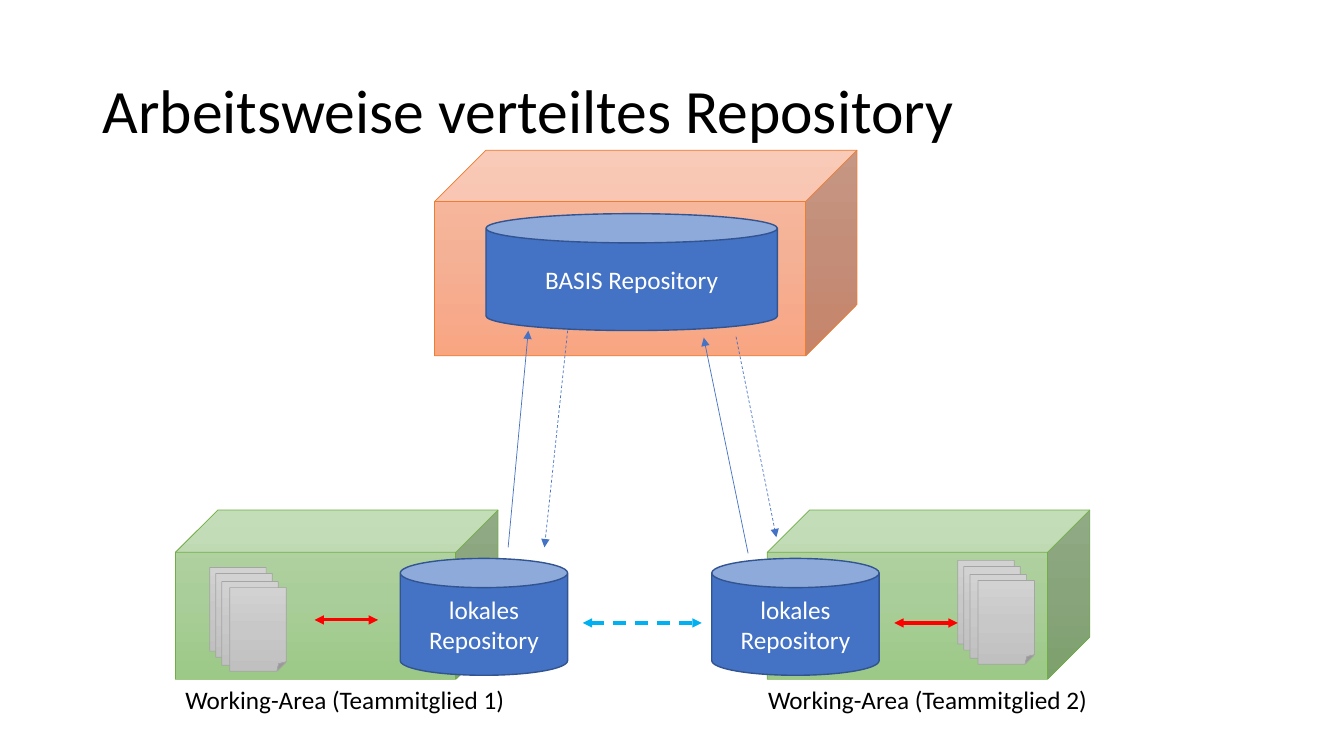
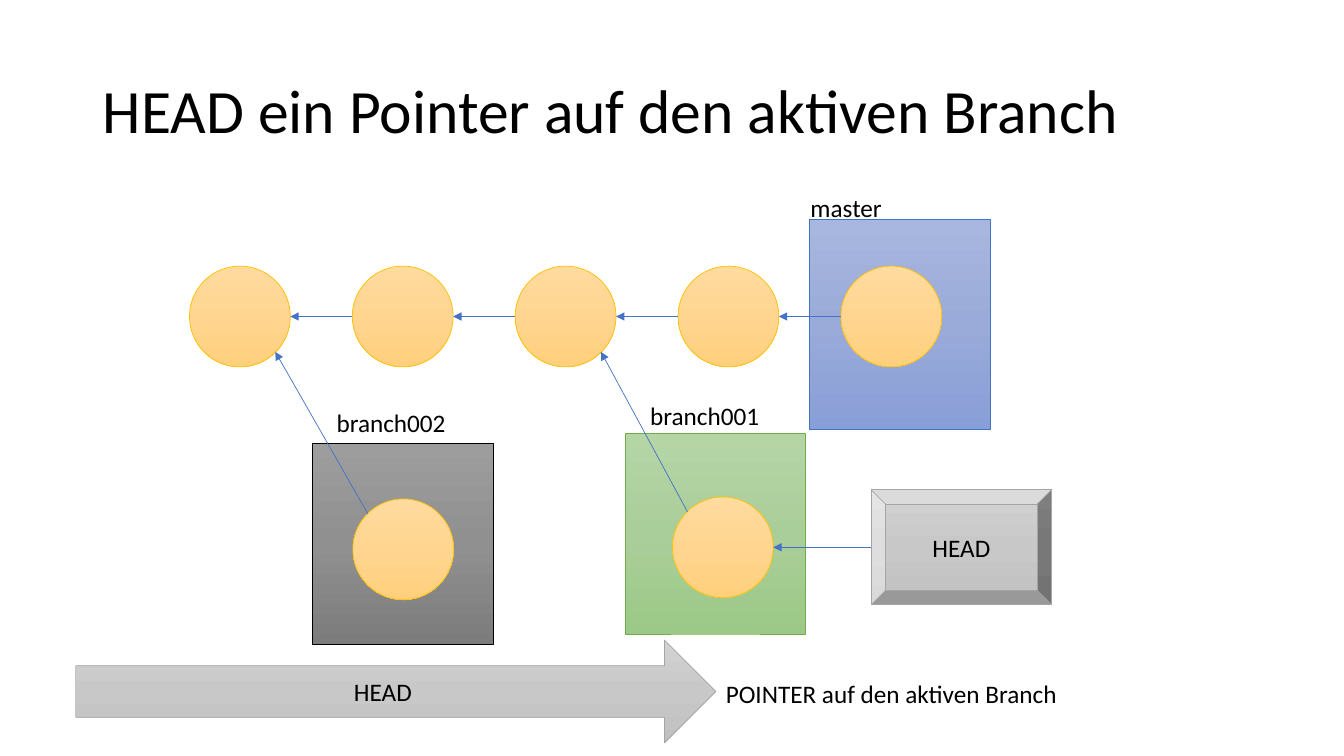
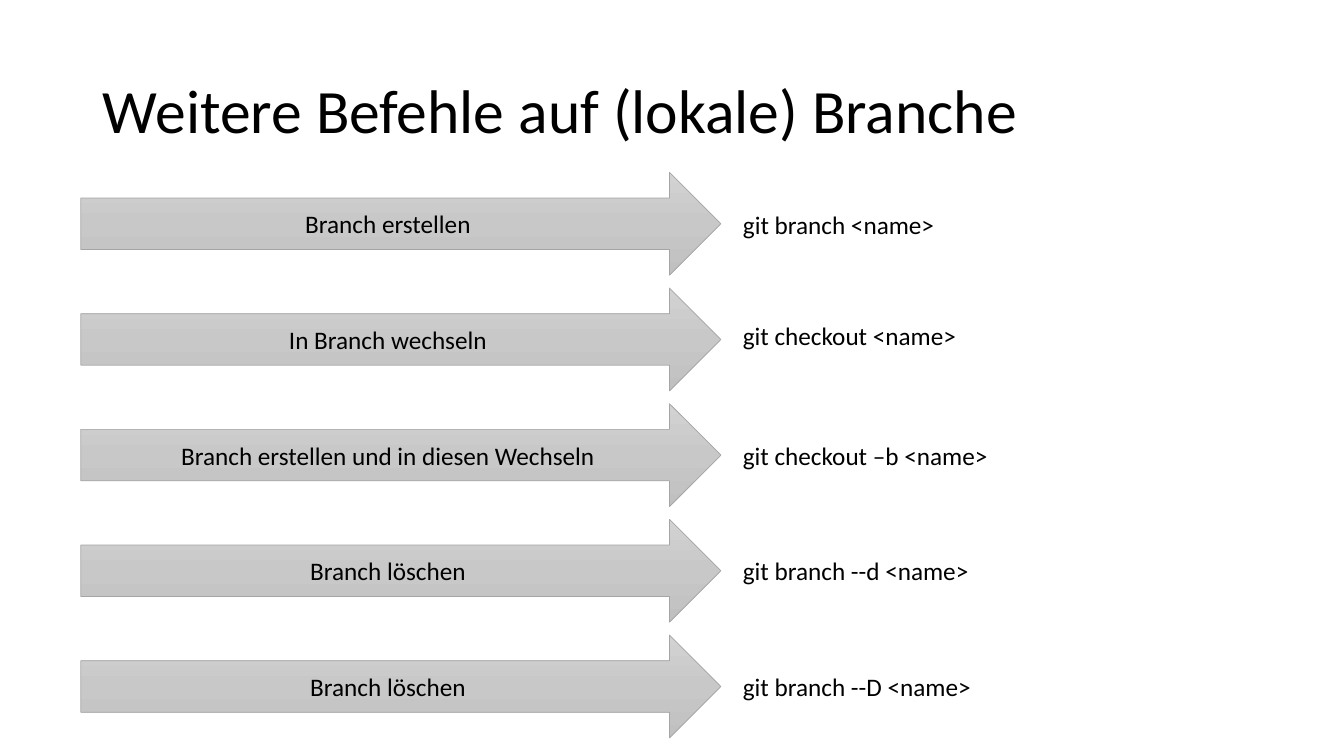
import copy

import pptx
import pptx.dml.color
import pptx.enum.dml
import pptx.enum.shapes
import pptx.enum.text
import pptx.oxml.ns
import pptx.util
from lxml import etree

Inches = pptx.util.Inches
Pt = pptx.util.Pt
qn = pptx.oxml.ns.qn
SHAPE = pptx.enum.shapes.MSO_SHAPE
ALIGN = pptx.enum.text.PP_ALIGN
ANCHOR = pptx.enum.text.MSO_ANCHOR

# Shared style
FONT = "Calibri"
BLACK, WHITE = "000000", "FFFFFF"
BLUE, RED, CYAN = "4472C4", "FF0000", "00B0F0"
CAN_LINE = "325491"

# Gradient stops from top to bottom, then the outline colour
GREEN_STYLE = (("B5D5A7", "AACE9A", "9CC987"), "70AD47")
GRAY_STYLE = (("D2D2D2", "C8C8C8", "C0C0C0"), "A5A5A5")
ORANGE_STYLE = (("F7BDA5", "F5B196", "F8A582"), "ED7D31")
DARK_STYLE = (("9D9D9D", "909090", "7C7C7C"), "000000")
BLUE_STYLE = (("A8B7DF", "9AABD9", "889ED7"), "4472C4")
YELLOW_STYLE = (("FFDB9E", "FFD590", "FFD07C"), "FFC000")


def rgb(color):
    return pptx.dml.color.RGBColor.from_string(color)


def write_text(shape, text, size=18, color=BLACK, align=ALIGN.LEFT):
    """Set one paragraph of text and format its runs."""
    shape.text_frame.text = text
    para = shape.text_frame.paragraphs[0]
    para.alignment = align
    for span in para.runs:
        span.font.name = FONT
        span.font.size = Pt(size)
        span.font.color.rgb = rgb(color)
    return para


def add_title_slide(deck, title):
    page = deck.slides.add_slide(deck.slide_layouts[5])
    box = page.shapes.title
    box.left, box.top = Inches(0.92), Inches(0.4)
    box.width, box.height = Inches(11.5), Inches(1.45)
    para = write_text(box, title, size=44)
    para.line_spacing = 0.9
    box.text_frame.word_wrap = True
    box.text_frame.auto_size = pptx.enum.text.MSO_AUTO_SIZE.NONE
    box.text_frame.vertical_anchor = ANCHOR.MIDDLE
    return page


def add_label(page, left, top, width, text):
    box = page.shapes.add_textbox(Inches(left), Inches(top), Inches(width), Inches(0.4))
    box.text_frame.word_wrap = False
    write_text(box, text)


def add_shape(page, kind, left, top, width, height, line, line_width, text, text_color):
    shape = page.shapes.add_shape(
        kind, Inches(left), Inches(top), Inches(width), Inches(height))
    shape.shadow.inherit = False
    shape.line.color.rgb = rgb(line)
    shape.line.width = Pt(line_width)
    if text:
        write_text(shape, text, color=text_color, align=ALIGN.CENTER)
        shape.text_frame.word_wrap = True
        shape.text_frame.vertical_anchor = ANCHOR.MIDDLE
    return shape


def add_gradient_shape(page, kind, left, top, width, height, style, text=""):
    colors, line = style
    shape = add_shape(page, kind, left, top, width, height, line, 0.5, text, BLACK)
    shape.fill.gradient()
    shape.fill.gradient_angle = 270
    # The default gradient has two stops; add the middle one
    stop_list = next(shape.element.spPr.iter(qn("a:gsLst")))
    stop_list.insert(1, copy.deepcopy(stop_list[0]))
    for index, (stop, color) in enumerate(zip(shape.fill.gradient_stops, colors)):
        stop.position = index / 2
        stop.color.rgb = rgb(color)


def add_can(page, left, top, width, text):
    can = add_shape(page, SHAPE.CAN, left, top, width, 1.16, CAN_LINE, 1, text, WHITE)
    can.fill.solid()
    can.fill.fore_color.rgb = rgb(BLUE)


def add_arrow(page, start, end, color=BLUE, width=0.5, dashed=False, both_ends=False):
    arrow = page.shapes.add_connector(
        pptx.enum.shapes.MSO_CONNECTOR.STRAIGHT,
        Inches(start[0]), Inches(start[1]), Inches(end[0]), Inches(end[1]))
    arrow.line.color.rgb = rgb(color)
    arrow.line.width = Pt(width)
    if dashed:
        arrow.line.dash_style = pptx.enum.dml.MSO_LINE.DASH
    properties = arrow.element.spPr
    line = properties.find(qn("a:ln"))
    for end_name in ("a:headEnd", "a:tailEnd") if both_ends else ("a:tailEnd",):
        etree.SubElement(line, qn(end_name)).set("type", "triangle")
    etree.SubElement(properties, qn("a:effectLst"))


def add_block_arrow(page, left, top, text):
    add_gradient_shape(page, SHAPE.RIGHT_ARROW, left, top, 6.35, 1.02, GRAY_STYLE, text)


def add_file_stack(page, left, top):
    for right, down in ((0, 0), (0.06, 0.06), (0.12, 0.14), (0.2, 0.2)):
        add_gradient_shape(page, SHAPE.FOLDED_CORNER, left + right, top + down,
                           0.56, 0.83, GRAY_STYLE)


def add_commit(page, left, top):
    add_gradient_shape(page, SHAPE.OVAL, left, top, 1, 1, YELLOW_STYLE)


def build_repository_slide(deck):
    page = add_title_slide(deck, "Arbeitsweise verteiltes Repository")

    # Working areas with their files
    for member, area_left, label_left, files_left, files_top in (
            (1, 1.74, 1.74, 2.08, 5.63), (2, 7.61, 7.52, 9.5, 5.56)):
        add_gradient_shape(page, SHAPE.CUBE, area_left, 5.06, 3.2, 1.68, GREEN_STYLE)
        add_label(page, label_left, 6.74, 3.4, f"Working-Area (Teammitglied {member})")
        add_file_stack(page, files_left, files_top)

    # Base repository
    add_gradient_shape(page, SHAPE.CUBE, 4.31, 1.49, 4.19, 2.04, ORANGE_STYLE)
    add_can(page, 4.82, 2.12, 2.89, "BASIS Repository")

    # Push (solid) and fetch (dashed)
    for start, end, dashed in (
            ((5.04, 5.43), (5.24, 3.28), False), ((5.63, 3.28), (5.4, 5.43), True),
            ((7.42, 5.49), (6.98, 3.35), False), ((7.3, 3.34), (7.7, 5.33), True)):
        add_arrow(page, start, end, dashed=dashed)

    # Local repositories and their exchange
    for left in (3.97, 7.06):
        add_can(page, left, 5.54, 1.66, "lokales Repository")
    for left, y in ((8.87, 6.18), (3.12, 6.15)):
        add_arrow(page, (left, y), (left + 0.63, y), RED, 2.25, both_ends=True)
    add_arrow(page, (5.78, 6.18), (6.96, 6.18), CYAN, 2.25, dashed=True, both_ends=True)


def build_head_slide(deck):
    page = add_title_slide(deck, "HEAD ein Pointer auf den aktiven Branch")

    # Branch areas
    for left, top, height, style in (
            (3.1, 4.4, 1.99, DARK_STYLE), (6.2, 4.3, 1.99, GREEN_STYLE),
            (8.03, 2.18, 2.08, BLUE_STYLE)):
        add_gradient_shape(page, SHAPE.RECTANGLE, left, top, 1.79, height, style)

    # Commits on master, each pointing to the one before
    commit_top = 2.64
    commit_lefts = [1.88 + 1.615 * index for index in range(5)]
    for left in commit_lefts:
        add_commit(page, left, commit_top)
    for before, after in zip(commit_lefts, commit_lefts[1:]):
        add_arrow(page, (after, commit_top + 0.5), (before + 1, commit_top + 0.5))

    # Branch commits point from their upper left to the lower right of the parent
    near, far = 0.15, 0.85
    for left, top, parent_left in (
            (3.5, 4.95, commit_lefts[0]), (6.67, 4.93, commit_lefts[2])):
        add_commit(page, left, top)
        add_arrow(page, (left + near, top + near),
                  (parent_left + far, commit_top + far))

    # HEAD and its explanation
    add_gradient_shape(page, SHAPE.BEVEL, 8.64, 4.86, 1.79, 1.14, GRAY_STYLE, "HEAD")
    add_arrow(page, (8.64, 5.43), (7.67, 5.43))
    add_block_arrow(page, 0.75, 6.35, "HEAD")

    # Labels
    for left, top, width, text in (
            (7.1, 6.68, 3.52, "POINTER auf den aktiven Branch"),
            (7.94, 1.86, 0.92, "master"),
            (6.35, 3.92, 1.3, "branch001"),
            (3.24, 3.99, 1.3, "branch002")):
        add_label(page, left, top, width, text)


def build_commands_slide(deck):
    page = add_title_slide(deck, "Weitere Befehle auf (lokale) Branche")
    commands = (
        ("Branch erstellen", "git branch <name>", 2.03, 2.12),
        ("In Branch wechseln", "git checkout <name>", 3.13, 2.34),
        ("Branch erstellen und in diesen Wechseln", "git checkout –b <name>", 4.32, 2.66),
        ("Branch löschen", "git branch --d <name>", 5.46, 2.47),
        ("Branch löschen", "git branch --D <name>", 6.61, 2.47),
    )
    for index, (action, command, command_top, command_width) in enumerate(commands):
        add_block_arrow(page, 0.8, 1.71 + 1.1475 * index, action)
        add_label(page, 7.27, command_top, command_width, command)


def main():
    deck = pptx.Presentation()
    deck.slide_width, deck.slide_height = Inches(13.33), Inches(7.5)
    build_repository_slide(deck)
    build_head_slide(deck)
    build_commands_slide(deck)
    deck.save("out.pptx")


if __name__ == "__main__":
    main()
